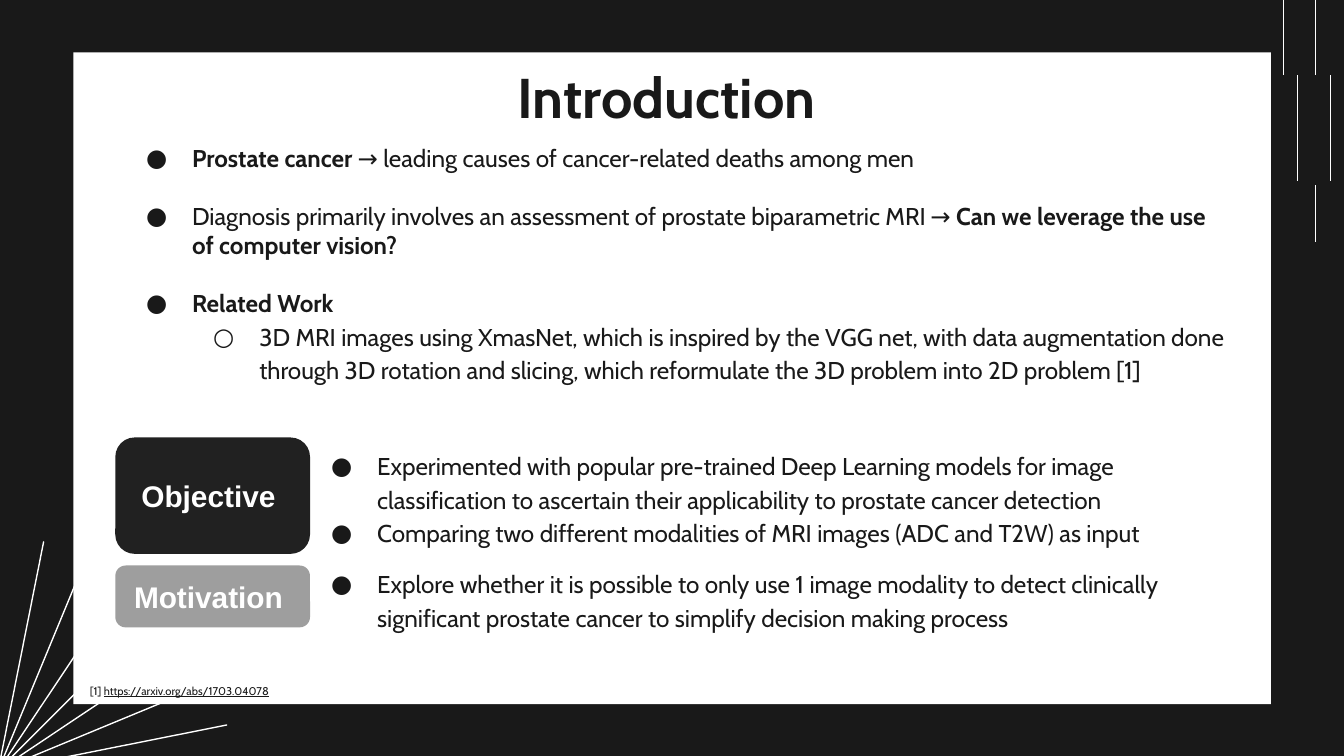
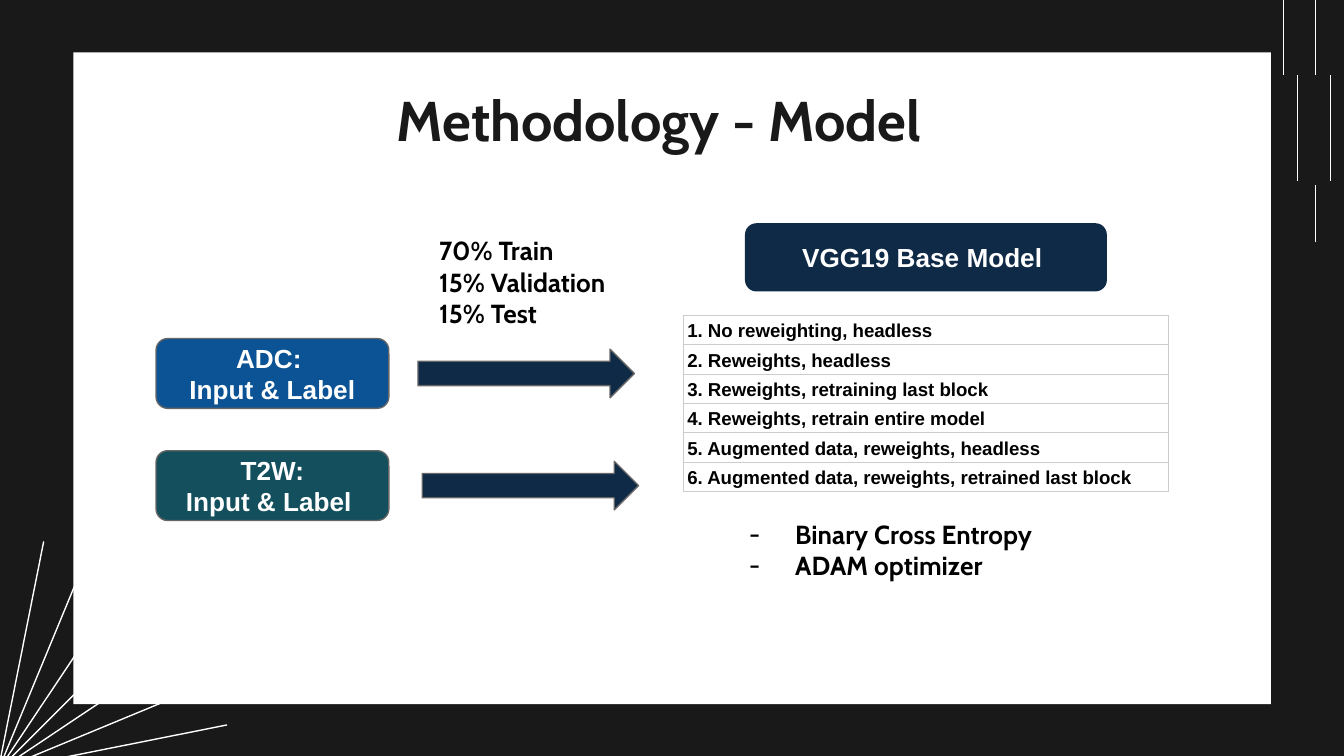
from dataclasses import dataclass, replace

from lxml.etree import SubElement
from pptx import Presentation
from pptx.dml.color import RGBColor
from pptx.enum.shapes import MSO_CONNECTOR, MSO_SHAPE
from pptx.enum.text import MSO_ANCHOR, MSO_AUTO_SIZE, PP_ALIGN
from pptx.oxml.ns import qn
from pptx.util import Cm, Pt

INK = "191919"
WHITE = "FFFFFF"
BLACK = "000000"
NAVY = "0E2A47"
GREY = "666666"
INSET = 0.25
BULLET_INDENT = 1.27


@dataclass(frozen=True)
class Style:
    size: float
    font: str = "Cabin"
    color: str = INK
    bold: bool = False
    align: PP_ALIGN = PP_ALIGN.LEFT
    spacing: float = 1.0
    bullet: str = ""
    level: int = 0
    before: float = 0


TITLE = Style(30, bold=True, align=PP_ALIGN.CENTER)
BULLET = Style(13, bullet="●")
WIDE_BULLET = replace(BULLET, spacing=1.15)
SUB_BULLET = replace(WIDE_BULLET, bullet="○", level=1)
NOTE = Style(6, spacing=1.15)
LABEL = Style(14, "Arial", WHITE, True, PP_ALIGN.CENTER)
BIG_LABEL = replace(LABEL, size=16)
FACT = Style(14, color=BLACK, bold=True)
DASH = replace(FACT, bullet="-")
ROW = Style(10, "Arial", BLACK, True, spacing=1.15)


def rgb(color):
    return RGBColor.from_string(color)


def box(x, y, w, h):
    return Cm(x), Cm(y), Cm(w), Cm(h)


def add_bullet(p, style):
    pPr = p._p.get_or_add_pPr()
    pPr.set("marL", str(Cm(BULLET_INDENT * (style.level + 1))))
    pPr.set("indent", str(Cm(-0.87)))
    color = SubElement(pPr, qn("a:buClr"))
    SubElement(color, qn("a:srgbClr"), val=style.color)
    SubElement(pPr, qn("a:buFont"), typeface=style.font)
    SubElement(pPr, qn("a:buChar"), char=style.bullet)


def add_run(p, text, style, bold=None, underline=None):
    r = p.add_run()
    r.text = text
    font = r.font
    font.name, font.size = style.font, Pt(style.size)
    font.bold = style.bold if bold is None else bold
    font.underline = underline
    font.color.rgb = rgb(style.color)


def write(tf, paragraphs):
    """Fill a frame from (style, run, ...) tuples; a run is a text or a dict."""
    for i, (style, *runs) in enumerate(paragraphs):
        p = tf.add_paragraph() if i else tf.paragraphs[0]
        if style.bullet:
            add_bullet(p, style)
        p.level, p.alignment = style.level, style.align
        p.line_spacing = style.spacing
        p.space_before = Pt(style.before)
        for run in runs:
            add_run(p, style=style, **(run if isinstance(run, dict) else {"text": run}))


def set_frame(tf, anchor):
    tf.word_wrap = True
    tf.auto_size = MSO_AUTO_SIZE.NONE
    tf.vertical_anchor = anchor
    tf.margin_left = tf.margin_right = Cm(INSET)
    tf.margin_top = tf.margin_bottom = Cm(INSET)


def fill_placeholder(sp, place, paragraphs, anchor=MSO_ANCHOR.TOP):
    sp.left, sp.top, sp.width, sp.height = box(*place)
    set_frame(sp.text_frame, anchor)
    write(sp.text_frame, paragraphs)


def add_title(slide, x, y, text):
    fill_placeholder(slide.shapes.title, (x, y, 21.41, 1.6),
                     [(TITLE, text)], MSO_ANCHOR.MIDDLE)


def add_text(slide, place, paragraphs):
    tf = slide.shapes.add_textbox(*box(*place)).text_frame
    set_frame(tf, MSO_ANCHOR.TOP)
    write(tf, paragraphs)


def add_shape(slide, kind, place, fill, line=None):
    sp = slide.shapes.add_shape(kind, *box(*place))
    sp.shadow.inherit = False
    sp.fill.solid()
    sp.fill.fore_color.rgb = rgb(fill)
    if line:
        sp.line.color.rgb = rgb(line)
        sp.line.width = Pt(0.75)
    else:
        sp.line.fill.background()
    return sp


def add_label(slide, place, fill, lines, style=LABEL, line=None):
    sp = add_shape(slide, MSO_SHAPE.ROUNDED_RECTANGLE, place, fill, line)
    set_frame(sp.text_frame, MSO_ANCHOR.MIDDLE)
    write(sp.text_frame, [(style, text) for text in lines])


def add_stripe(slide, x, top, bottom):
    cx = slide.shapes.add_connector(MSO_CONNECTOR.STRAIGHT, Cm(x), Cm(top), Cm(x), Cm(bottom))
    cx.line.color.rgb = rgb(WHITE)
    cx.line.width = Pt(0.75)
    SubElement(cx._element.spPr, qn("a:effectLst"))
    return cx


def decorate_master(prs, slide):
    """Draw the panel, stripes and rays, then move them to the master."""
    master = prs.slide_master
    master.background.fill.solid()
    master.background.fill.fore_color.rgb = rgb(INK)
    parts = [add_shape(slide, MSO_SHAPE.RECTANGLE, (1.39, 0.99, 22.63, 12.32), WHITE)]
    for x, top, bottom in ((24.86, 0, 1.42), (24.26, 0, 1.42), (25.14, 1.42, 3.43),
                           (24.52, 1.42, 3.43), (24.86, 3.5, 4.57)):
        parts.append(add_stripe(slide, x, top, bottom))
    rays = add_shape(slide, MSO_SHAPE.STAR_32_POINT, (-4.44, 10.16, 8.81, 8.81), WHITE, WHITE)
    rays.adjustments[0] = 0
    parts.append(rays)
    for i, part in enumerate(parts):
        master.shapes._spTree.insert(2 + i, part._element)


def style_cell(cell):
    cell.margin_left = cell.margin_right = Cm(0.08)
    cell.margin_top = cell.margin_bottom = Cm(0.05)
    cell.vertical_anchor = MSO_ANCHOR.BOTTOM
    tcPr = cell._tc.get_or_add_tcPr()
    for side in "LRTB":
        border = SubElement(tcPr, qn(f"a:ln{side}"), w=str(Pt(0.42)))
        fill = SubElement(border, qn("a:solidFill"))
        SubElement(fill, qn("a:srgbClr"), val="CCCCCC")
    cell.fill.background()


def add_list_table(slide, x, y, width, row_height, rows):
    place = box(x, y, width, row_height * len(rows))
    table = slide.shapes.add_table(len(rows), 1, *place).table
    table.first_row = table.horz_banding = False
    for i, text in enumerate(rows):
        cell = table.cell(i, 0)
        style_cell(cell)
        write(cell.text_frame, [(ROW, text)])


def build_introduction(slide):
    add_title(slide, 2.01, 1.02, "Introduction ")
    spaced = replace(BULLET, before=15.5)
    fill_placeholder(slide.placeholders[1], (2.11, 2.46, 21.29, 5.28), [
        (BULLET, {"text": "Prostate cancer", "bold": True},
         " → leading causes of cancer-related deaths among men"),
        (spaced, "Diagnosis primarily involves an assessment of prostate biparametric MRI →",
         {"text": " Can we leverage the use of computer vision?", "bold": True}),
        (spaced, {"text": "Related Work", "bold": True}),
        (SUB_BULLET, "3D MRI images using XmasNet, which is inspired by the VGG net, with data "
                     "augmentation done through 3D rotation and slicing, which reformulate the "
                     "3D problem into 2D problem [1]"),
    ])
    add_label(slide, (2.18, 8.27, 3.68, 2.2), "212121", ["Objective "], BIG_LABEL)
    add_text(slide, (5.61, 8.2, 18.19, 2.34), [
        (WIDE_BULLET, "Experimented with popular pre-trained Deep Learning models for image "
                      "classification to ascertain their applicability to prostate cancer "
                      "detection"),
        (WIDE_BULLET, "Comparing two different modalities of MRI images (ADC and T2W) as input"),
    ])
    add_label(slide, (2.18, 10.69, 3.68, 1.17), "9E9E9E", ["Motivation "], BIG_LABEL)
    add_text(slide, (5.61, 10.43, 17.55, 1.7), [
        (WIDE_BULLET, "Explore whether it is possible to only use 1 image modality to detect "
                      "clinically significant prostate cancer to simplify decision making "
                      "process"),
    ])
    add_text(slide, (1.45, 12.65, 14.55, 0.76), [
        (NOTE, "[1] ", {"text": "https://arxiv.org/abs/1703.04078", "underline": True}),
    ])


def build_methodology(slide):
    add_title(slide, 1.87, 1.45, "Methodology - Model ")
    inputs = ((6.4, 7.9, "0B5394", ["ADC: ", "Input & Label"]),
              (8.52, 7.98, "134F5C", ["T2W:", "Input & Label "]))
    for y, arrow_x, fill, lines in inputs:
        add_label(slide, (2.95, y, 4.4, 1.32), fill, lines, line=GREY)
        add_shape(slide, MSO_SHAPE.RIGHT_ARROW, (arrow_x, y + 0.2, 4.09, 0.92), NAVY, GREY)
    add_text(slide, (8.05, 4.19, 3.94, 2.31), [
        (FACT, "70% Train"), (FACT, "15% Validation"), (FACT, "15% Test"),
    ])
    add_label(slide, (14.08, 4.22, 6.84, 1.29), NAVY, ["VGG19 Base Model "])
    add_list_table(slide, 12.91, 5.96, 9.17, 0.54, [
        "1. No reweighting, headless",
        "2. Reweights, headless",
        "3. Reweights, retraining last block",
        "4. Reweights, retrain entire model",
        "5. Augmented data, reweights, headless",
        "6. Augmented data, reweights, retrained last block",
    ])
    add_text(slide, (13.51, 9.55, 8.25, 1.7), [
        (DASH, "Binary Cross Entropy"), (DASH, "ADAM optimizer"),
    ])


def main():
    prs = Presentation()
    prs.slide_width, prs.slide_height = Cm(25.4), Cm(14.29)
    introduction = prs.slides.add_slide(prs.slide_layouts[1])
    decorate_master(prs, introduction)
    build_introduction(introduction)
    build_methodology(prs.slides.add_slide(prs.slide_layouts[5]))
    prs.save("out.pptx")


if __name__ == "__main__":
    main()
